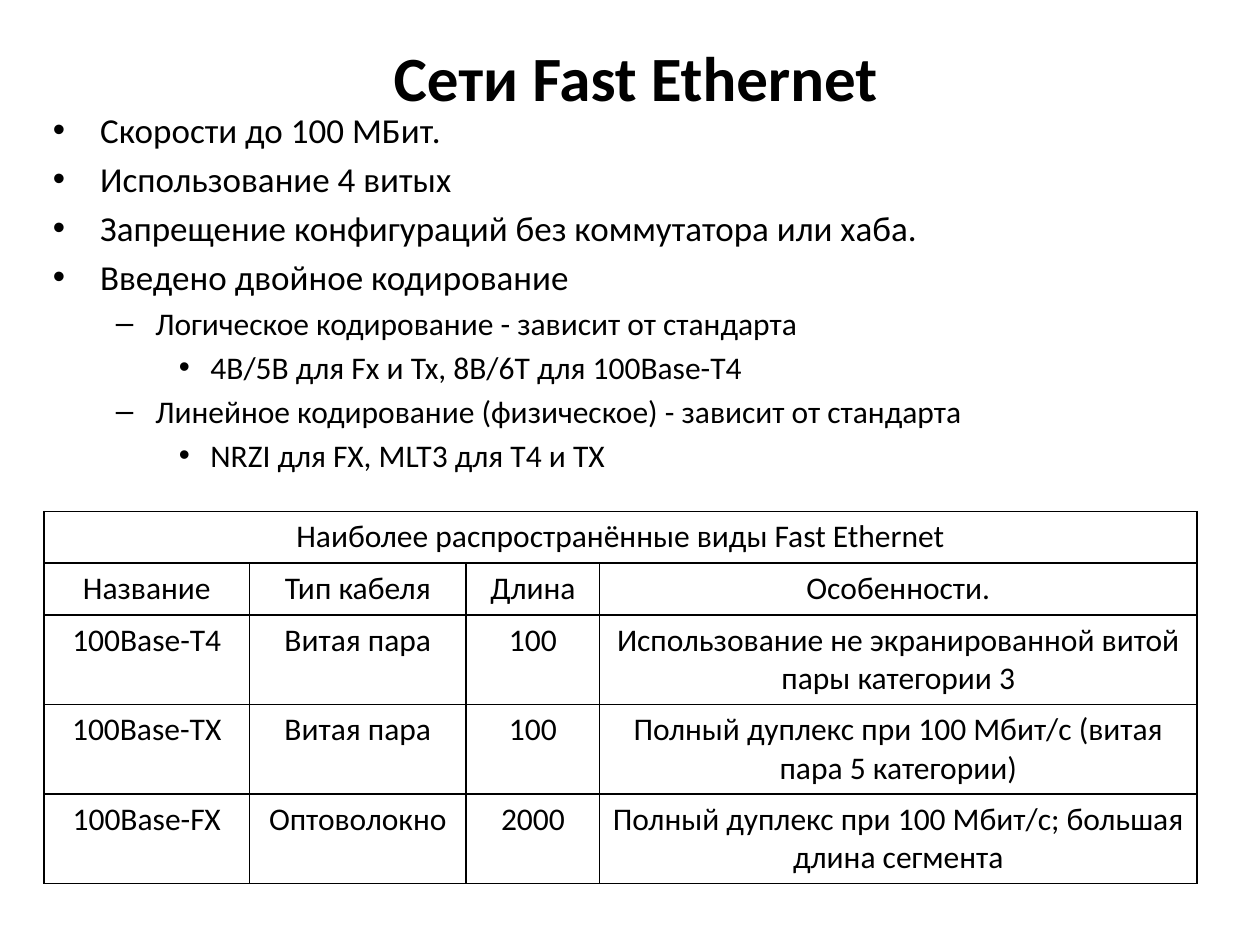
from dataclasses import dataclass

from lxml import etree
from pptx import Presentation
from pptx import util as u
from pptx.dml.color import RGBColor
from pptx.enum import text
from pptx.oxml import ns


@dataclass(frozen=True)
class Theme:
    font: str = "Calibri"
    ink: RGBColor = RGBColor(0, 0, 0)
    title: int = 36
    level_sizes: tuple[int, ...] = (20, 18, 18)
    table: int = 18
    border: float = 1


@dataclass(frozen=True)
class Box:
    left: float
    top: float
    width: float
    height: float

    def lengths(self) -> list[u.Length]:
        return [u.Inches(v) for v in (self.left, self.top, self.width, self.height)]


@dataclass(frozen=True)
class Bullet:
    text: str
    level: int = 0


THEME = Theme()
TITLE_BOX = Box(0.59, 0.21, 8.91, 0.79)
BODY_BOX = Box(0.32, 0.81, 9.45, 6.06)
COLUMNS = (1.63, 1.72, 1.06, 4.74)
ROWS = (0.41, 0.41, 0.71, 0.71, 0.71)
TABLE_BOX = Box(0.35, 4.06, sum(COLUMNS), sum(ROWS))

BULLETS = (
    Bullet("Скорости до 100 МБит."),
    Bullet("Использование 4 витых"),
    Bullet("Запрещение конфигураций без коммутатора или хаба."),
    Bullet("Введено двойное кодирование"),
    Bullet("Логическое кодирование - зависит от стандарта", 1),
    Bullet("4B/5B для Fx и Tx, 8B/6T для 100Base-T4", 2),
    Bullet("Линейное кодирование (физическое) - зависит от стандарта", 1),
    Bullet("NRZI для FX, MLT3 для T4 и TX", 2),
)
CELLS = (
    ("Наиболее распространённые виды Fast Ethernet", "", "", ""),
    ("Название", "Тип кабеля", "Длина", "Особенности."),
    ("100Base-T4", "Витая пара", "100",
     "Использование не экранированной витой пары категории 3"),
    ("100Base-TX", "Витая пара", "100",
     "Полный дуплекс при 100 Мбит/с (витая пара 5 категории)"),
    ("100Base-FX", "Оптоволокно", "2000",
     "Полный дуплекс при 100 Мбит/с; большая длина сегмента"),
)


def style(p, size: float, bold: bool = False) -> None:
    for r in p.runs:
        r.font.name, r.font.size, r.font.bold = THEME.font, u.Pt(size), bold
        r.font.color.rgb = THEME.ink


def place(sp, box: Box) -> None:
    sp.left, sp.top, sp.width, sp.height = box.lengths()
    sp.text_frame.auto_size = text.MSO_AUTO_SIZE.NONE


def add_title(s) -> None:
    sp = s.shapes.title
    place(sp, TITLE_BOX)
    tf = sp.text_frame
    tf.text = "Сети Fast Ethernet"
    tf.vertical_anchor = text.MSO_ANCHOR.MIDDLE
    style(tf.paragraphs[0], THEME.title, bold=True)


def add_bullets(s) -> None:
    """Fill the body; the template supplies bullets, indents and spacing."""
    sp = s.placeholders[1]
    place(sp, BODY_BOX)
    tf = sp.text_frame
    tf.text = "\n".join(b.text for b in BULLETS)
    for p, bullet in zip(tf.paragraphs, BULLETS):
        p.level = bullet.level
        style(p, THEME.level_sizes[bullet.level])
    tf.paragraphs[0].space_before = u.Pt(0)


def set_borders(cell) -> None:
    tc_pr = cell._tc.get_or_add_tcPr()
    for i, side in enumerate(("lnL", "lnR", "lnT", "lnB")):
        ln = etree.Element(ns.qn(f"a:{side}"), w=str(u.Pt(THEME.border)))
        fill = etree.SubElement(ln, ns.qn("a:solidFill"))
        etree.SubElement(fill, ns.qn("a:srgbClr"), val=str(THEME.ink))
        tc_pr.insert(i, ln)


def add_standards_table(s) -> None:
    table = s.shapes.add_table(len(ROWS), len(COLUMNS), *TABLE_BOX.lengths()).table
    table.first_row = table.horz_banding = False
    for column, width in zip(table.columns, COLUMNS):
        column.width = u.Inches(width)
    for row, height, values in zip(table.rows, ROWS, CELLS):
        row.height = u.Inches(height)
        for cell, value in zip(row.cells, values):
            cell.fill.background()
            set_borders(cell)
            cell.text_frame.text = value
            p = cell.text_frame.paragraphs[0]
            p.alignment = text.PP_ALIGN.CENTER
            style(p, THEME.table)
    table.cell(0, 0).merge(table.cell(0, len(COLUMNS) - 1))


def main() -> None:
    prs = Presentation()
    prs.slide_width, prs.slide_height = u.Inches(10), u.Inches(7.5)
    s = prs.slides.add_slide(prs.slide_layouts[1])
    add_title(s)
    add_bullets(s)
    add_standards_table(s)
    prs.save("out.pptx")


if __name__ == "__main__":
    main()
